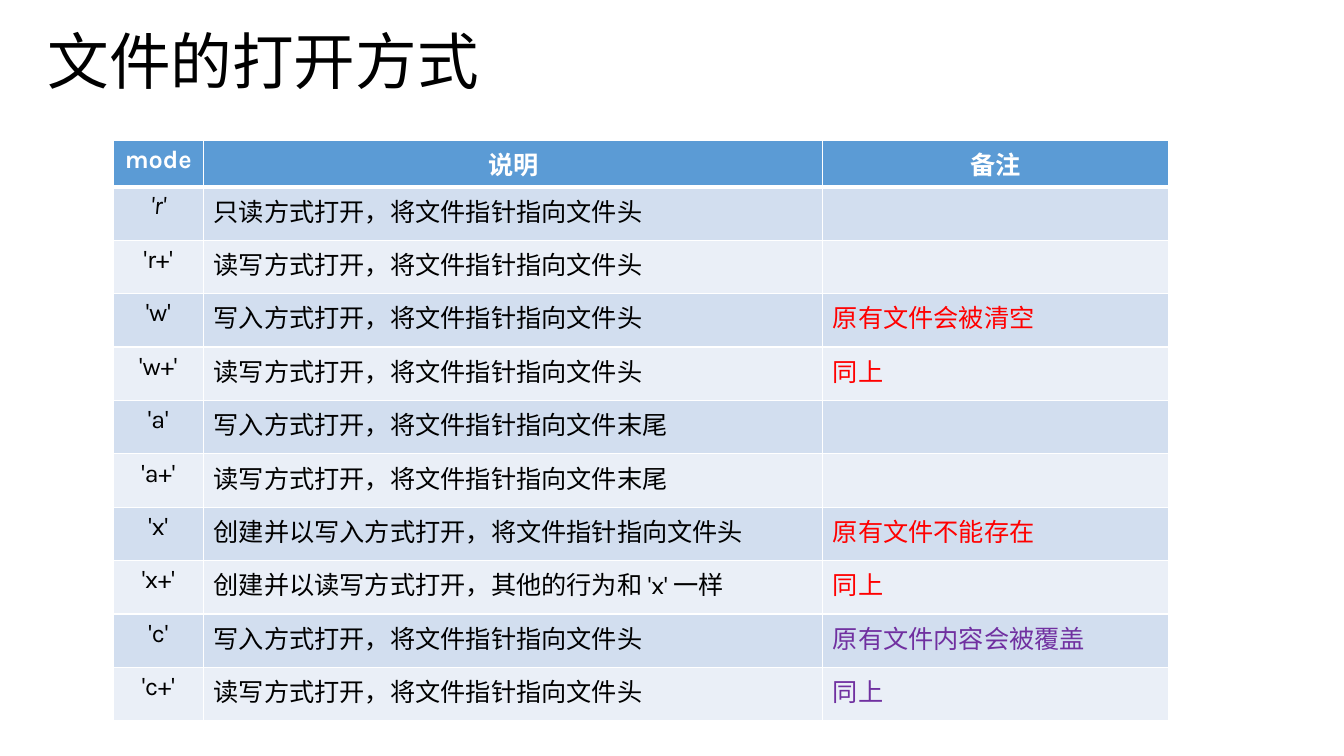
from dataclasses import dataclass

from lxml.etree import SubElement
from pptx import Presentation
from pptx.dml.color import RGBColor
from pptx.enum.text import MSO_ANCHOR, PP_ALIGN
from pptx.oxml.ns import qn
from pptx.util import Inches, Pt

SLIDE_WIDTH, SLIDE_HEIGHT = Inches(13.33), Inches(7.5)
COLUMN_WIDTHS = (0.9, 6.14, 3.43)
HEADER_HEIGHT, MODE_HEIGHT = 0.44, 0.53
HEADINGS = ("mode", "说明", "备注")
LATIN, CHINESE = "Karla", "Noto Sans CJK SC"
BLACK, WHITE, RED, PURPLE = "000000", "FFFFFF", "FF0000", "7030A0"
HEADER_FILL, BANDS = "5B9BD5", ("D2DEEF", "EAEFF7")


@dataclass(frozen=True)
class OpenMode:
    mode: str
    meaning: str
    remark: str = ""
    remark_color: str = RED
    italic: bool = False


@dataclass(frozen=True)
class TextStyle:
    size: float = 18
    color: str = BLACK
    latin: str = LATIN
    bold: bool = False
    italic: bool = False
    align: PP_ALIGN = PP_ALIGN.LEFT


OPEN_MODES = (
    OpenMode("'r'", "只读方式打开，将文件指针指向文件头", italic=True),
    OpenMode("'r+'", "读写方式打开，将文件指针指向文件头"),
    OpenMode("'w'", "写入方式打开，将文件指针指向文件头", "原有文件会被清空"),
    OpenMode("'w+'", "读写方式打开，将文件指针指向文件头", "同上"),
    OpenMode("'a'", "写入方式打开，将文件指针指向文件末尾"),
    OpenMode("'a+'", "读写方式打开，将文件指针指向文件末尾"),
    OpenMode("'x'", "创建并以写入方式打开，将文件指针指向文件头", "原有文件不能存在"),
    OpenMode("'x+'", "创建并以读写方式打开，其他的行为和 'x' 一样", "同上"),
    OpenMode("'c'", "写入方式打开，将文件指针指向文件头", "原有文件内容会被覆盖", PURPLE),
    OpenMode("'c+'", "读写方式打开，将文件指针指向文件头", "同上", PURPLE),
)


def rgb(color: str) -> RGBColor:
    return RGBColor.from_string(color)


def write(frame, text: str, style: TextStyle) -> None:
    paragraph = frame.paragraphs[0]
    paragraph.alignment = style.align
    if not text:
        paragraph.font.size = Pt(style.size)
        return
    run = paragraph.add_run()
    run.text = text
    font = run.font
    font.size, font.bold, font.italic = Pt(style.size), style.bold, style.italic
    font.name = style.latin
    font.color.rgb = rgb(style.color)
    SubElement(run._r.get_or_add_rPr(), qn("a:ea"), typeface=CHINESE)


def add_borders(cell, top: float, bottom: float) -> None:
    """Draw white borders, with the top and bottom widths in points."""
    properties = cell._tc.get_or_add_tcPr()
    for side, width in (("L", 1), ("R", 1), ("T", top), ("B", bottom)):
        line = SubElement(properties, qn(f"a:ln{side}"), w=str(Pt(width)))
        fill = SubElement(line, qn("a:solidFill"))
        SubElement(fill, qn("a:srgbClr"), val=WHITE)


def fill_cell(cell, text: str, style: TextStyle, fill: str,
              top: float = 1, bottom: float = 1) -> None:
    add_borders(cell, top, bottom)
    cell.fill.solid()
    cell.fill.fore_color.rgb = rgb(fill)
    write(cell.text_frame, text, style)


def add_title(slide, text: str) -> None:
    title = slide.shapes.title
    title.left, title.top = Inches(0.37), Inches(0.13)
    title.width, title.height = Inches(6.38), Inches(1.02)
    frame = title.text_frame
    frame.vertical_anchor = MSO_ANCHOR.MIDDLE
    frame.paragraphs[0].line_spacing = 0.9
    write(frame, text, TextStyle(size=44, latin=CHINESE))


def add_mode_table(slide) -> None:
    height = HEADER_HEIGHT + MODE_HEIGHT * len(OPEN_MODES)
    table = slide.shapes.add_table(
        len(OPEN_MODES) + 1, len(HEADINGS), Inches(1.12), Inches(1.39),
        Inches(sum(COLUMN_WIDTHS)), Inches(height)).table
    table.horz_banding = False
    for column, width in zip(table.columns, COLUMN_WIDTHS):
        column.width = Inches(width)
    for index, row in enumerate(table.rows):
        row.height = Inches(MODE_HEIGHT if index else HEADER_HEIGHT)

    heading_style = TextStyle(color=WHITE, bold=True, align=PP_ALIGN.CENTER)
    for column, heading in enumerate(HEADINGS):
        fill_cell(table.cell(0, column), heading, heading_style, HEADER_FILL, bottom=3)

    for row, entry in enumerate(OPEN_MODES, start=1):
        contents = (
            (entry.mode, TextStyle(italic=entry.italic, align=PP_ALIGN.CENTER)),
            (entry.meaning, TextStyle()),
            (entry.remark, TextStyle(color=entry.remark_color)),
        )
        band = BANDS[(row - 1) % len(BANDS)]
        for column, (text, style) in enumerate(contents):
            fill_cell(table.cell(row, column), text, style, band,
                      top=3 if row == 1 else 1)


def main() -> None:
    presentation = Presentation()
    presentation.slide_width, presentation.slide_height = SLIDE_WIDTH, SLIDE_HEIGHT
    slide = presentation.slides.add_slide(presentation.slide_layouts[5])
    add_title(slide, "文件的打开方式")
    add_mode_table(slide)
    presentation.save("out.pptx")


if __name__ == "__main__":
    main()
